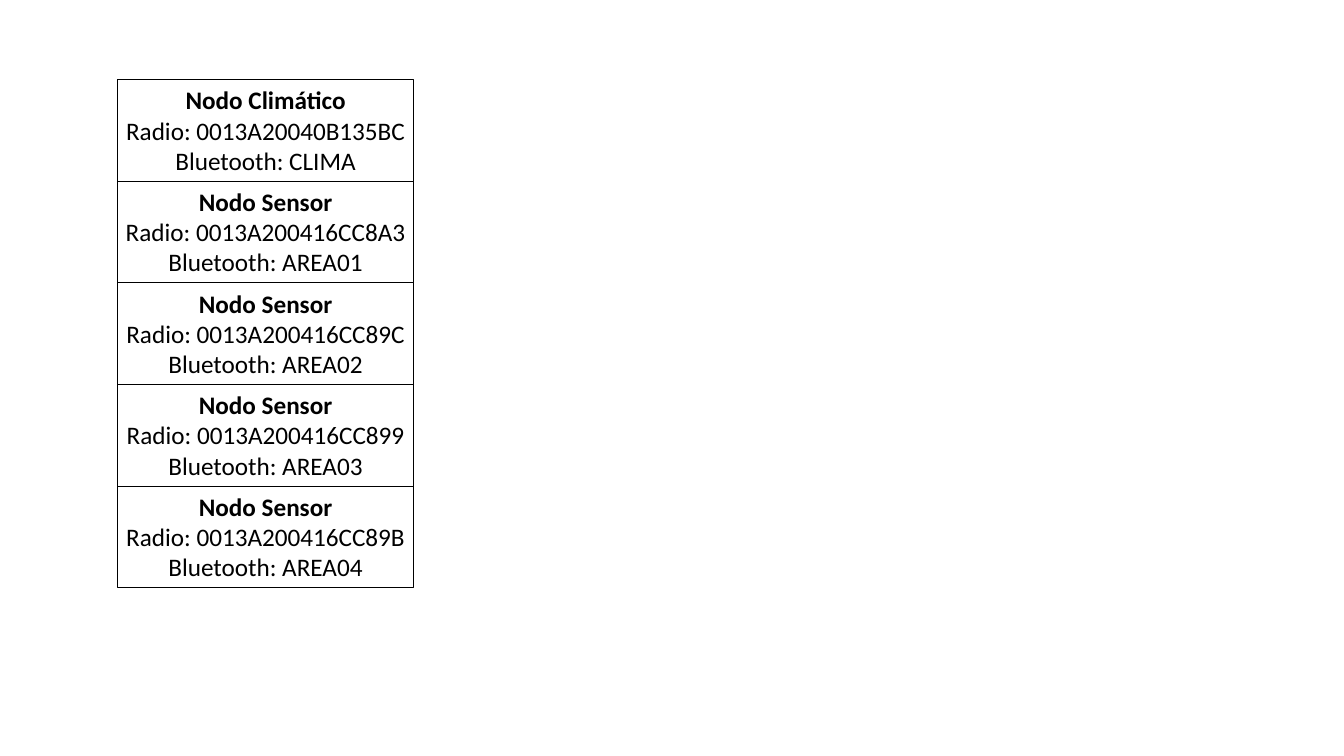
from pptx import Presentation
from pptx.dml.color import RGBColor
from pptx.enum.text import MSO_ANCHOR, MSO_AUTO_SIZE, PP_ALIGN
from pptx.util import Cm, Pt

LEFT, TOP, WIDTH, HEIGHT = 2.97, 2.01, 7.45, 2.56
BLACK = "000000"
NODES = [
    ("Nodo Climático", "0013A20040B135BC", "CLIMA"),
    ("Nodo Sensor", "0013A200416CC8A3", "AREA01"),
    ("Nodo Sensor", "0013A200416CC89C", "AREA02"),
    ("Nodo Sensor", "0013A200416CC899", "AREA03"),
    ("Nodo Sensor", "0013A200416CC89B", "AREA04"),
]


def color(hex_code):
    """Turn a hex string into a colour."""
    return RGBColor.from_string(hex_code)


def set_attrs(obj, values):
    """Set each format value on the object."""
    for name, value in values.items():
        setattr(obj, name, value)


def add_line(p, text, bold):
    """Write one centred line of a label."""
    p.alignment = PP_ALIGN.CENTER
    r = p.add_run()
    r.text = text
    set_attrs(r.font, {"name": "Calibri", "size": Pt(18), "bold": bold})
    r.font.color.rgb = color(BLACK)


def add_label(s, top, lines):
    """Add an outlined label whose first line is its bold title."""
    sp = s.shapes.add_textbox(Cm(LEFT), Cm(top), Cm(WIDTH), Cm(HEIGHT))
    sp.line.color.rgb = color(BLACK)
    sp.line.width = Pt(0.75)
    tf = sp.text_frame
    set_attrs(tf, {"word_wrap": False, "auto_size": MSO_AUTO_SIZE.NONE,
                   "vertical_anchor": MSO_ANCHOR.TOP})
    for i, text in enumerate(lines):
        p = tf.add_paragraph() if i else tf.paragraphs[0]
        add_line(p, text, bold=i == 0)


def main():
    """Build the column of node labels."""
    prs = Presentation()
    set_attrs(prs, {"slide_width": Cm(33.87), "slide_height": Cm(19.05)})
    s = prs.slides.add_slide(prs.slide_layouts[6])
    for i, (title, address, name) in enumerate(NODES):
        add_label(s, TOP + i * HEIGHT,
                  [title, f"Radio: {address}", f"Bluetooth: {name}"])
    prs.save("out.pptx")


main()
